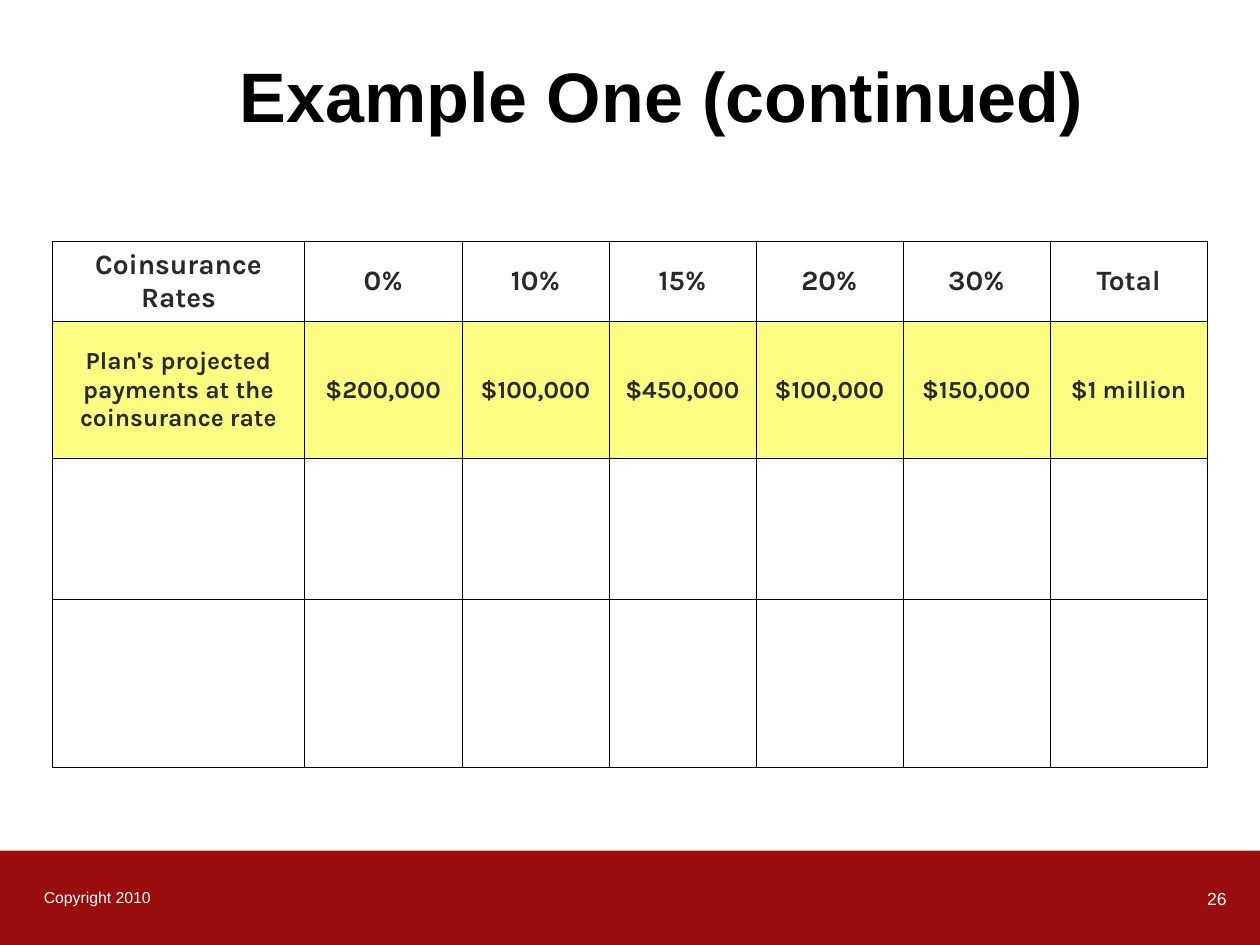
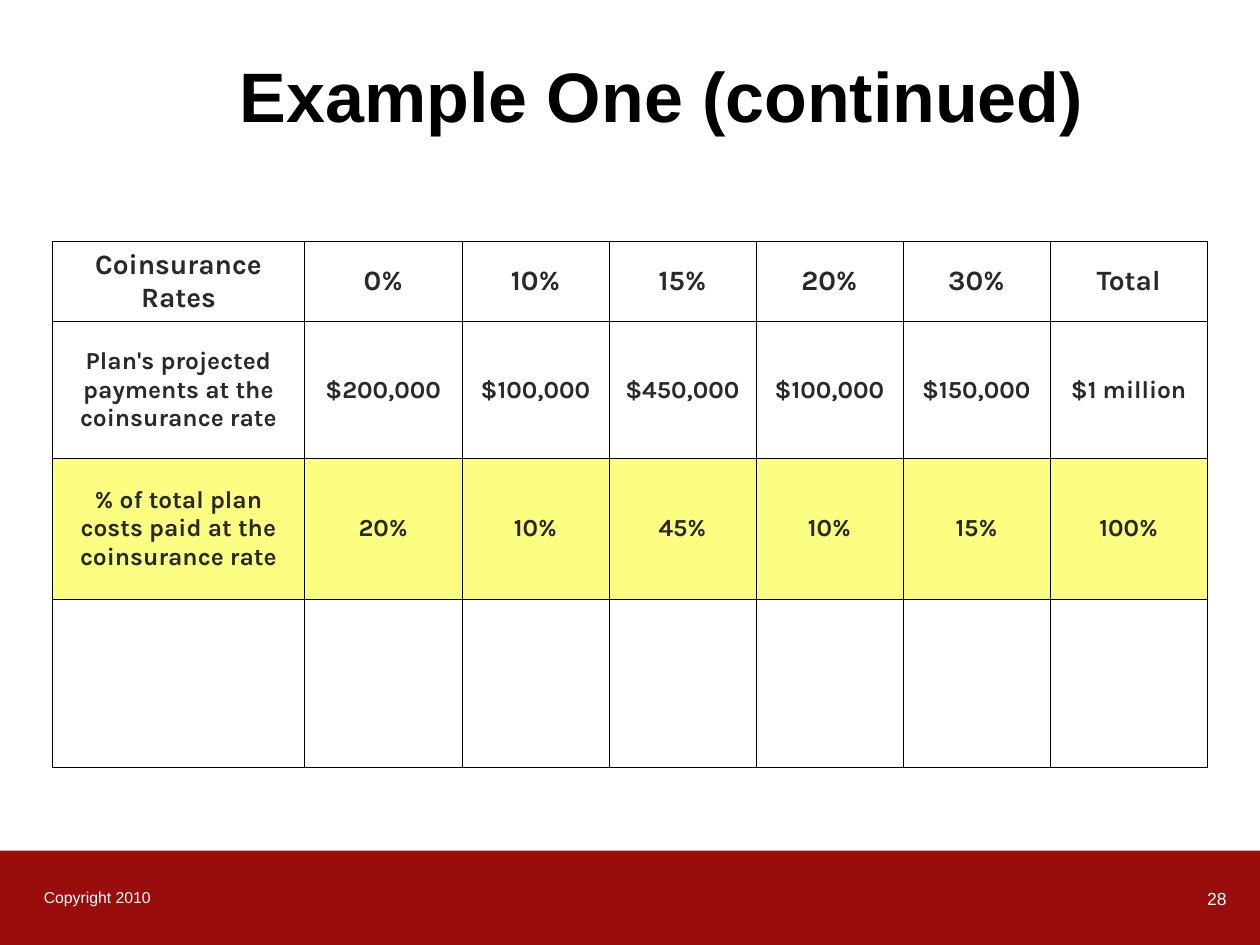
"""Build two slides that fill in a coinsurance table row by row."""
from lxml import etree
from pptx import Presentation
from pptx.dml.color import RGBColor
from pptx.enum.shapes import MSO_SHAPE
from pptx.enum.text import MSO_ANCHOR, MSO_AUTO_SIZE, PP_ALIGN
from pptx.oxml.ns import qn
from pptx.util import Inches, Pt

RECTANGLE = MSO_SHAPE.RECTANGLE
LEFT, CENTER, RIGHT = PP_ALIGN.LEFT, PP_ALIGN.CENTER, PP_ALIGN.RIGHT
MIDDLE, BOTTOM = MSO_ANCHOR.MIDDLE, MSO_ANCHOR.BOTTOM

COLORS = {"band": "990D0D", "highlight": "FBFE80", "ink": "292929",
          "black": "000000", "white": "FFFFFF"}
TITLE = "Example One (continued)"
COPYRIGHT = "Copyright 2010"
TABLE_ROWS = [
    ["Coinsurance Rates", "0%", "10%", "15%", "20%", "30%", "Total"],
    ["Plan's projected payments at the coinsurance rate", "$200,000", "$100,000",
     "$450,000", "$100,000", "$150,000", "$1 million"],
    ["% of total plan costs paid at the coinsurance rate", "20%", "10%", "45%",
     "10%", "15%", "100%"],
]
SLIDES = [{"number": "26", "highlighted_row": 1}, {"number": "28", "highlighted_row": 2}]

UNIT = Inches(1) / 12
COLUMN_UNITS = [24, 15, 14, 14, 14, 14, 15]
ROW_UNITS = [7.65, 13, 13.4, 16]
BORDER_WIDTH = Pt(0.45)


def units(*lengths):
    return [round(length * UNIT) for length in lengths]


def color(name):
    return RGBColor.from_string(COLORS[name])


def style_paragraph(paragraph, font_name, size, color_name, alignment, bold=False):
    paragraph.alignment = alignment
    paragraph.font.name = font_name
    paragraph.font.size = Pt(size)
    paragraph.font.bold = bold
    paragraph.font.color.rgb = color(color_name)


def add_footer_text(slide, text, box, size, alignment):
    frame = slide.shapes.add_textbox(*units(*box)).text_frame
    frame.word_wrap = True
    frame.text = text
    style_paragraph(frame.paragraphs[0], "Arial", size, "white", alignment)


def add_frame(slide, number):
    band = slide.shapes.add_shape(RECTANGLE, *units(0, 81, 120, 9))
    band.shadow.inherit = False
    band.fill.solid()
    band.fill.fore_color.rgb = color("band")
    band.line.fill.background()
    add_footer_text(slide, COPYRIGHT, (3, 84, 25, 3), 9, LEFT)
    add_footer_text(slide, number, (93, 84, 25, 4), 10, RIGHT)

    title = slide.shapes.title
    title.left, title.top, title.width, title.height = units(13, 1, 100, 12.6)
    frame = title.text_frame
    frame.text = TITLE
    frame.auto_size = MSO_AUTO_SIZE.NONE
    frame.vertical_anchor = BOTTOM
    style_paragraph(frame.paragraphs[0], "Arial", 40, "black", CENTER, bold=True)


def add_borders(cell):
    properties = cell._tc.get_or_add_tcPr()
    for side in ("lnL", "lnR", "lnT", "lnB"):
        line = etree.SubElement(properties, qn(f"a:{side}"), w=str(BORDER_WIDTH))
        fill = etree.SubElement(line, qn("a:solidFill"))
        etree.SubElement(fill, qn("a:srgbClr"), val=COLORS["black"])


def add_rates_table(slide, highlighted_row):
    box = units(5, 23, sum(COLUMN_UNITS), sum(ROW_UNITS))
    table = slide.shapes.add_table(len(ROW_UNITS), len(COLUMN_UNITS), *box).table
    table.first_row = table.horz_banding = False
    for column, width in zip(table.columns, units(*COLUMN_UNITS)):
        column.width = width
    for row, height in zip(table.rows, units(*ROW_UNITS)):
        row.height = height

    for row_index, row in enumerate(table.rows):
        for column_index, cell in enumerate(row.cells):
            add_borders(cell)
            if row_index == highlighted_row:
                cell.fill.solid()
                cell.fill.fore_color.rgb = color("highlight")
            else:
                cell.fill.background()
            if row_index <= highlighted_row:
                cell.text = TABLE_ROWS[row_index][column_index]
                cell.vertical_anchor = MIDDLE
                style_paragraph(cell.text_frame.paragraphs[0], "Karla",
                                14 if row_index else 16, "ink", CENTER, bold=True)


def main():
    presentation = Presentation()
    presentation.slide_width, presentation.slide_height = units(120, 90)
    title_only = presentation.slide_layouts[5]
    for content in SLIDES:
        slide = presentation.slides.add_slide(title_only)
        add_frame(slide, content["number"])
        add_rates_table(slide, content["highlighted_row"])
    presentation.save("out.pptx")


if __name__ == "__main__":
    main()
